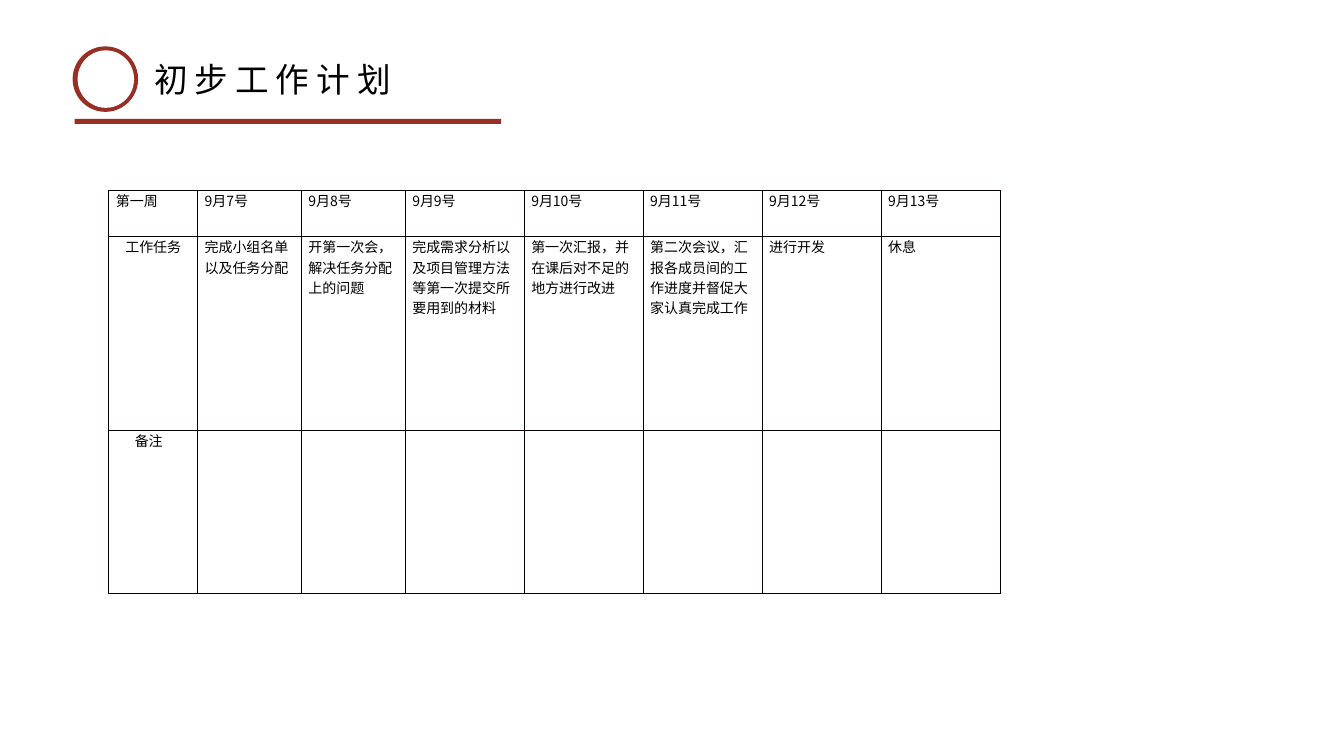
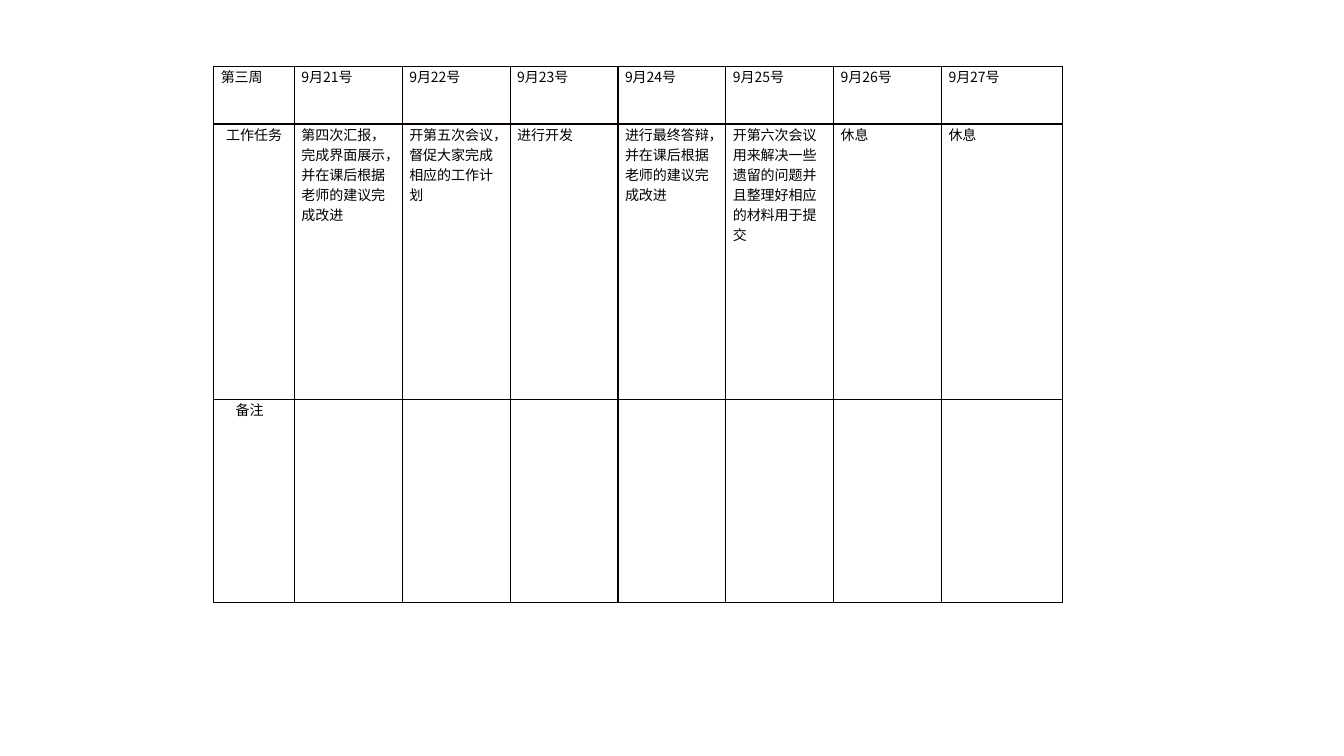
"""Builds two slides with the weekly work plan tables."""
from pptx import Presentation
from pptx import util as u
from pptx.dml.color import RGBColor
from pptx.enum import shapes, text
from pptx.oxml import parse_xml
from pptx.oxml.ns import nsdecls, qn

TITLE = "初步工作计划"
ROW_LABELS = ["工作任务", "备注"]
WEEKS = [
    dict(
        title=TITLE, name="第一周", first_day=7, at=(1.08, 1.89),
        cols=[0.88] + [1.03] * 2 + [1.18] * 5, rows=[0.46, 1.92, 1.62],
        tasks=[
            "完成小组名单以及任务分配",
            "开第一次会，解决任务分配上的问题",
            "完成需求分析以及项目管理方法等第一次提交所要用到的材料",
            "第一次汇报，并在课后对不足的地方进行改进",
            "第二次会议，汇报各成员间的工作进度并督促大家认真完成工作",
            "进行开发",
            "休息",
        ],
    ),
    dict(
        title=None, name="第三周", first_day=21, at=(2.12, 0.66),
        cols=[0.8] + [1.07] * 6 + [1.2], rows=[0.57, 2.73, 2.02],
        tasks=[
            "第四次汇报，完成界面展示，并在课后根据老师的建议完成改进",
            "开第五次会议，督促大家完成相应的工作计划",
            "进行开发",
            "进行最终答辩，并在课后根据老师的建议完成改进",
            "开第六次会议用来解决一些遗留的问题并且整理好相应的材料用于提交",
            "休息",
            "休息",
        ],
    ),
]
COLORS = dict(accent="992E24", paper="FFFFFF", ink="000000", border="080000")
FONT = "Noto Sans CJK SC"
TITLE_ONLY, BLANK = 5, 6
CELL_INSET, NOTE_INSET = 0.07, 0.16


def rgb(name):
    return RGBColor.from_string(COLORS[name])


def write(tf, content, size=10, color="ink", align=text.PP_ALIGN.LEFT, spacing=0):
    p = tf.paragraphs[0]
    p.alignment = align
    r = p.add_run()
    r.text = content
    r.font.size = u.Pt(size)
    r.font.color.rgb = rgb(color)
    r.font.name = FONT
    rpr = r.font._element
    rpr.append(parse_xml(f'<a:ea {nsdecls("a")} typeface="{FONT}"/>'))
    if spacing:
        rpr.set("spc", str(spacing * 100))


def add_solid(parent, kind, box, color):
    sp = parent.add_shape(kind, *map(u.Inches, box))
    sp.shadow.inherit = False
    sp.fill.solid()
    sp.fill.fore_color.rgb = rgb(color)
    sp.line.fill.background()


def add_header(s, title):
    sp = s.shapes.title
    sp.left, sp.top, sp.width, sp.height = map(u.Inches, (1.43, 0.53, 2.62, 0.5))
    tf = sp.text_frame
    tf.word_wrap = False
    tf.auto_size = text.MSO_AUTO_SIZE.NONE
    tf.vertical_anchor = text.MSO_ANCHOR.MIDDLE
    write(tf, title, size=24, spacing=5)
    ring = s.shapes.add_group_shape().shapes
    oval = shapes.MSO_SHAPE.OVAL
    add_solid(ring, oval, (0.72, 0.46, 0.65, 0.65), "accent")
    add_solid(ring, oval, (0.77, 0.5, 0.56, 0.57), "paper")
    add_solid(s.shapes, shapes.MSO_SHAPE.RECTANGLE, (0.74, 1.18, 4.23, 0.05), "accent")


def format_cell(cell):
    cell.margin_left = cell.margin_right = u.Inches(CELL_INSET)
    cell.margin_top = cell.margin_bottom = 0
    cell.fill.background()
    tcpr = cell._tc.get_or_add_tcPr()
    for i, side in enumerate("LRTB"):
        tcpr.insert(i, parse_xml(
            f'<a:ln{side} {nsdecls("a")} w="{u.Pt(1)}"><a:solidFill>'
            f'<a:srgbClr val="{COLORS["border"]}"/></a:solidFill></a:ln{side}>'))


def add_plan(s, week):
    cols, rows = week["cols"], week["rows"]
    size = sum(cols), sum(rows)
    table = s.shapes.add_table(
        len(rows), len(cols), *map(u.Inches, week["at"] + size)).table
    table.first_row = table.horz_banding = False
    for col, width in zip(table.columns, cols):
        col.width = u.Inches(width)
    for row, height in zip(table.rows, rows):
        row.height = u.Inches(height)
    days = [f"9月{week['first_day'] + i}号" for i in range(7)]
    task_label, note_label = ROW_LABELS
    grid = [[week["name"]] + days, [task_label] + week["tasks"], [note_label] + [""] * 7]
    for r, line in enumerate(grid):
        for c, content in enumerate(line):
            cell = table.cell(r, c)
            format_cell(cell)
            if content:
                centred = r > 0 and c == 0
                align = text.PP_ALIGN.CENTER if centred else text.PP_ALIGN.LEFT
                write(cell.text_frame, content, align=align)
    table.cell(2, 0).margin_right = u.Inches(NOTE_INSET)


def main():
    prs = Presentation()
    prs.slide_width, prs.slide_height = u.Inches(13.33), u.Inches(7.5)
    for week in WEEKS:
        layout = TITLE_ONLY if week["title"] else BLANK
        s = prs.slides.add_slide(prs.slide_layouts[layout])
        if week["title"]:
            add_header(s, week["title"])
        add_plan(s, week)
    prs.save("out.pptx")


if __name__ == "__main__":
    main()
